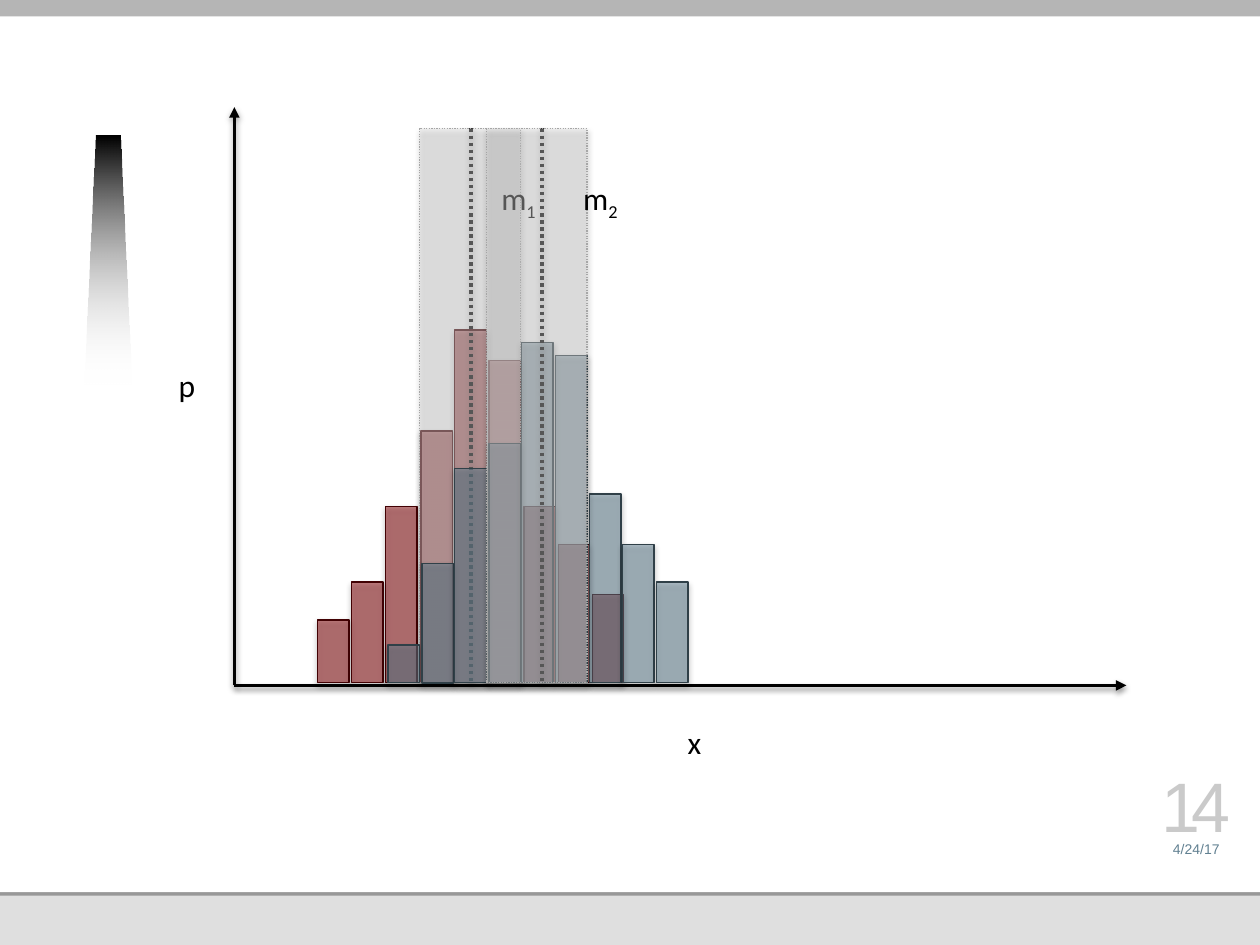
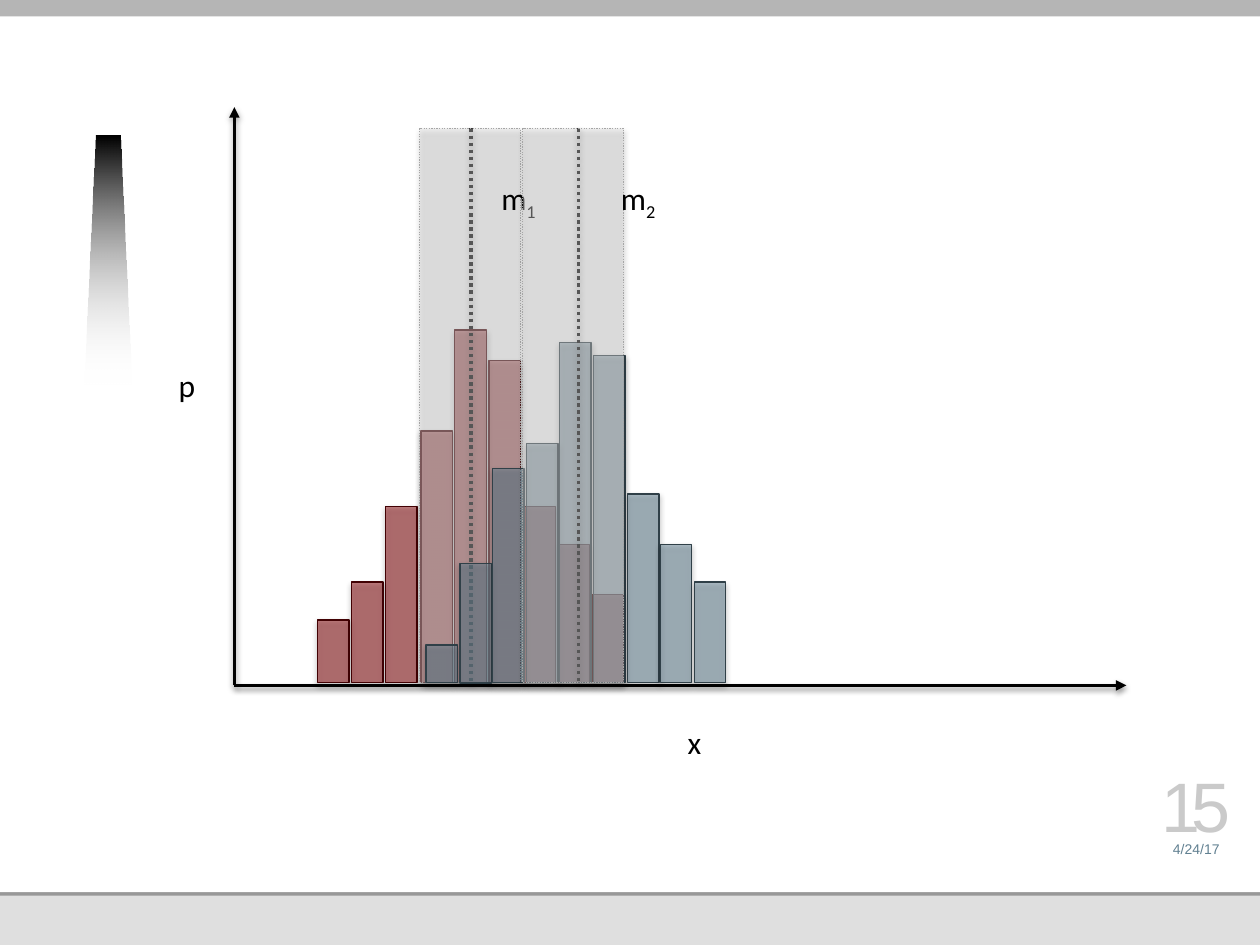
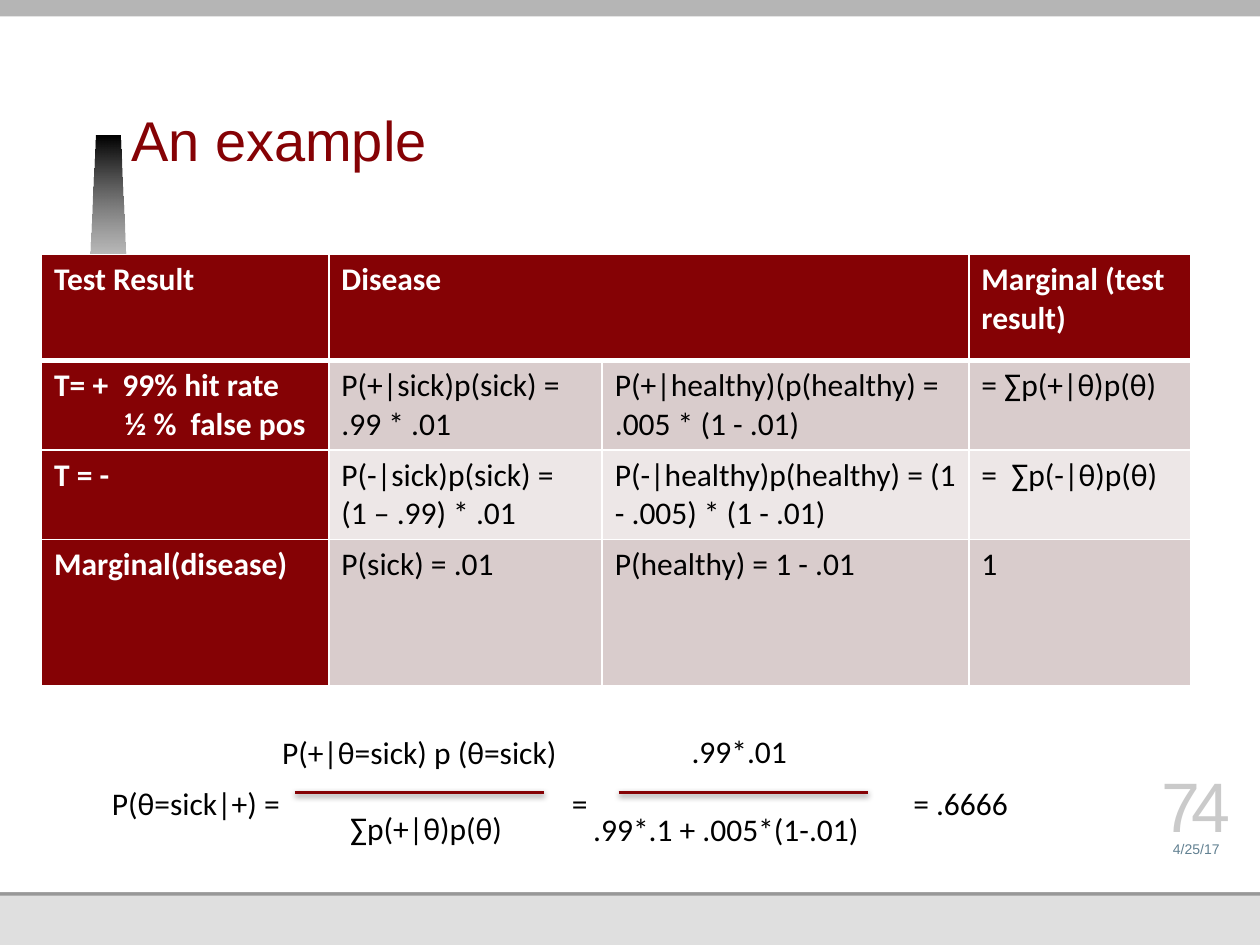
"""Build three statistics slides: two pairs of histograms and a worked probability example."""
import dataclasses
import typing

import lxml.etree
import pptx
import pptx.dml.color
import pptx.enum.dml
import pptx.enum.shapes
import pptx.enum.text
import pptx.oxml.ns
import pptx.presentation
import pptx.shapes.autoshape
import pptx.shapes.base
import pptx.slide
import pptx.util

RGBColor = pptx.dml.color.RGBColor
Pt = pptx.util.Pt
qn = pptx.oxml.ns.qn
Anchor = pptx.enum.text.MSO_ANCHOR
Align = pptx.enum.text.PP_ALIGN
AutoSize = pptx.enum.text.MSO_AUTO_SIZE
Dash = pptx.enum.dml.MSO_LINE

BLACK = RGBColor(0x00, 0x00, 0x00)
WHITE = RGBColor(0xFF, 0xFF, 0xFF)
FOOTER_GRAY = RGBColor(0xDF, 0xDF, 0xDF)
RULE_GRAY = RGBColor(0x98, 0x98, 0x98)
TOP_GRAY = RGBColor(0xB5, 0xB5, 0xB5)
NUMBER_GRAY = RGBColor(0xCA, 0xCA, 0xCA)
WINDOW_FILL = RGBColor(0xD9, 0xD9, 0xD9)
WINDOW_EDGE = RGBColor(0xA6, 0xA6, 0xA6)
RED = RGBColor(0x85, 0x02, 0x05)
DARK_RED = RGBColor(0x42, 0x01, 0x03)
BLUE = RGBColor(0x61, 0x80, 0x91)
DARK_BLUE = RGBColor(0x30, 0x40, 0x48)
ROW_DARK = RGBColor(0xD9, 0xCC, 0xCC)
ROW_LIGHT = RGBColor(0xED, 0xE7, 0xE7)

PX_PER_INCH = 100
BASELINE = 542
BAR_WIDTH = 25
WINDOW_TOP, WINDOW_WIDTH, WINDOW_HEIGHT = 102, 80, 440
LABEL_TOP, LABEL_HEIGHT = 137, 40
HANGING_INDENT = 56


def px(length: float) -> int:
    """Turn px into EMU."""
    return round(length * pptx.util.Inches(1) / PX_PER_INCH)


@dataclasses.dataclass(frozen=True)
class Place:
    """A box on the slide in px."""
    left: int
    top: int
    width: int
    height: int

    def emu(self) -> tuple[int, ...]:
        """Give the box in EMU."""
        return tuple(px(length) for length in dataclasses.astuple(self))


@dataclasses.dataclass(frozen=True)
class TextStyle:
    """Font, frame and paragraph formats of a text."""
    color: RGBColor
    font: dict[str, object]
    frame: dict[str, object]
    para: dict[str, object]


@dataclasses.dataclass(frozen=True)
class Paint:
    """Fill, opacity and outline of a box."""
    fill: RGBColor
    opacity: int = 100
    edge: RGBColor | None = None
    dash: Dash | None = None


@dataclasses.dataclass(frozen=True)
class Sample:
    """One histogram with its mean line, window and label."""
    start: int
    pitch: float
    heights: tuple[int, ...]
    paint: Paint
    mean_x: int
    window_left: int
    label_left: int
    index: str


NO_INSETS = {"margin_left": 0, "margin_top": 0, "margin_right": 0, "margin_bottom": 0}
CALIBRI = {"name": "Calibri", "size": Pt(18)}
BODY = TextStyle(BLACK, CALIBRI,
                 {"word_wrap": False, "auto_size": AutoSize.SHAPE_TO_FIT_TEXT}, {})
EQUATION = TextStyle(BLACK, CALIBRI, {"word_wrap": True}, {})
FOOTER_FRAME = NO_INSETS | {"word_wrap": True, "vertical_anchor": Anchor.BOTTOM}
DATE = TextStyle(BLUE, {"name": "Arial", "size": Pt(8)}, FOOTER_FRAME,
                 {"alignment": Align.CENTER})
NUMBER = TextStyle(NUMBER_GRAY, {"name": "Arial", "size": Pt(40)}, FOOTER_FRAME,
                   {"alignment": Align.CENTER})
TITLE = TextStyle(RED, {"name": "Arial", "size": Pt(32), "bold": False},
                  FOOTER_FRAME | {"margin_bottom": px(5), "auto_size": AutoSize.NONE},
                  {"alignment": Align.LEFT, "line_spacing": Pt(34)})
HEADING_CELL = TextStyle(WHITE, CALIBRI | {"bold": True}, {}, {})
VALUE_CELL = TextStyle(BLACK, CALIBRI | {"bold": False}, {}, {})

WINDOW_PAINT = Paint(WINDOW_FILL, 40, WINDOW_EDGE, Dash.ROUND_DOT)
RED_SAMPLE = Sample(252, 27.25, (50, 80, 140, 200, 280, 256, 140, 110, 70),
                    Paint(RED, 50, DARK_RED), 374, 333, 388, "1")
NEAR_SAMPLE = Sample(308, 26.6, (30, 95, 170, 190, 270, 260, 150, 110, 80),
                     Paint(BLUE, 50, DARK_BLUE), 430, 386, 453, "2")
FAR_SAMPLE = dataclasses.replace(NEAR_SAMPLE, start=338, mean_x=459,
                                 window_left=415, label_left=483)

TABLE_PLACE = Place(33, 202, 912, 334)
COLUMN_WIDTHS = (228, 217, 291, 176)
ROW_HEIGHTS = (84, 67, 67, 116)
ROW_FILLS = (RED, ROW_DARK, ROW_LIGHT, ROW_DARK)
TABLE_TEXT = (
    ("Test Result", "Disease", "", "Marginal (test result)"),
    ("T= +  99% hit rate\v½ %  false pos", "P(+|sick)p(sick) = .99 * .01",
     "P(+|healthy)(p(healthy) = .005 * (1 - .01)", "= ∑p(+|θ)p(θ)"),
    ("T = -", "P(-|sick)p(sick) =\v(1 – .99) * .01",
     "P(-|healthy)p(healthy) = (1 - .005) * (1 - .01)", "=  ∑p(-|θ)p(θ)"),
    ("Marginal(disease)", "P(sick) = .01", "P(healthy) = 1 - .01", "1"),
)
FRACTION_TEXTS = (
    (Place(214, 577, 240, 40), "P(+|θ=sick) p (θ=sick)"),
    (Place(268, 637, 142, 40), "∑p(+|θ)p(θ)"),
    (Place(539, 576, 97, 40), ".99*.01"),
    (Place(461, 638, 233, 40), ".99*.1 + .005*(1-.01)"),
)
FRACTION_BAR_LEFTS = (234, 491)
FRACTION_BAR_WIDTH = 198
EQUATION_TABS = (365, 636)


def apply_values(target: object, values: dict[str, object]) -> None:
    """Set attributes of an object from a dict."""
    for name, value in values.items():
        setattr(target, name, value)


def write_text(frame: typing.Any, texts: tuple[str, ...], style: TextStyle) -> None:
    """Write one paragraph of runs in a style."""
    apply_values(frame, style.frame)
    para = frame.paragraphs[0]
    para.text = texts[0]
    for text in texts[1:]:
        para.add_run().text = text
    apply_values(para, style.para)
    for span in para.runs:
        apply_values(span.font, style.font)
        span.font.color.rgb = style.color


def add_text(page: pptx.slide.Slide, place: Place, style: TextStyle,
             *texts: str) -> pptx.shapes.autoshape.Shape:
    """Add a text box."""
    box = page.shapes.add_textbox(*place.emu())
    write_text(box.text_frame, texts, style)
    return box


def set_last_run(box: pptx.shapes.autoshape.Shape, name: str, value: int) -> None:
    """Set a run property that has no public method."""
    list(box.element.iter(qn("a:rPr")))[-1].set(name, str(value))


def set_opacity(parent: typing.Any, percent: int) -> None:
    """Make the last colour under an element see-through."""
    color = list(parent.iter(qn("a:srgbClr")))[-1]
    lxml.etree.SubElement(color, qn("a:alpha"), val=str(percent * 1000))


def add_shadow(shape: pptx.shapes.base.BaseShape, distance: int, opacity: int) -> None:
    """Add a soft black shadow below a shape."""
    properties = shape.element.spPr
    effects = properties.find(qn("a:effectLst"))
    if effects is None:
        effects = lxml.etree.SubElement(properties, qn("a:effectLst"))
    shadow = lxml.etree.SubElement(effects, qn("a:outerShdw"), blurRad="40000",
                                   dist=str(distance), dir="5400000", rotWithShape="0")
    lxml.etree.SubElement(shadow, qn("a:srgbClr"), val=str(BLACK))
    set_opacity(shadow, opacity)


def add_box(page: pptx.slide.Slide, place: Place,
            paint: Paint) -> pptx.shapes.autoshape.Shape:
    """Add a rectangle, with a shadow when it has an outline."""
    box = page.shapes.add_shape(pptx.enum.shapes.MSO_SHAPE.RECTANGLE, *place.emu())
    box.shadow.inherit = False
    box.fill.solid()
    box.fill.fore_color.rgb = paint.fill
    if paint.opacity < 100:
        set_opacity(box.element.spPr, paint.opacity)
    if paint.edge is None:
        box.line.fill.background()
        return box
    box.line.color.rgb = paint.edge
    apply_values(box.line, {"width": Pt(0.75), "dash_style": paint.dash})
    add_shadow(box, 23000, 35)
    return box


def add_line(page: pptx.slide.Slide, start: tuple[int, int], end: tuple[int, int],
             color: RGBColor = BLACK, dash: Dash | None = None,
             arrow: bool = False) -> None:
    """Add a straight line with a shadow."""
    ends = (px(length) for length in start + end)
    connector = page.shapes.add_connector(pptx.enum.shapes.MSO_CONNECTOR.STRAIGHT, *ends)
    connector.line.color.rgb = color
    apply_values(connector.line, {"width": Pt(2), "dash_style": dash})
    if arrow:
        outline = connector.element.spPr.find(qn("a:ln"))
        lxml.etree.SubElement(outline, qn("a:tailEnd"), type="triangle")
    add_shadow(connector, 20000, 38)


def add_spike(page: pptx.slide.Slide) -> pptx.shapes.autoshape.Shape:
    """Add the fading spike beside the title."""
    builder = page.shapes.build_freeform(67, 305, scale=float(px(1)))
    builder.add_line_segments([(76, 108), (95, 108), (104, 305)], close=True)
    spike = builder.convert_to_shape()
    spike.shadow.inherit = False
    spike.line.fill.background()
    spike.fill.gradient()
    spike.fill.gradient_angle = 270
    for stop, color, position in zip(spike.fill.gradient_stops, (BLACK, WHITE), (0, 1)):
        stop.color.rgb = color
        stop.position = position
    set_opacity(spike.element.spPr.find(qn("a:gradFill")), 0)
    return spike


def decorate_master(deck: pptx.presentation.Presentation, page: pptx.slide.Slide) -> None:
    """Draw the shared bands and spike and move them to the master."""
    parts = [
        add_box(page, Place(0, 0, 1000, 750), Paint(FOOTER_GRAY)),
        add_box(page, Place(0, 178, 1000, 533), Paint(RULE_GRAY)),
        add_box(page, Place(0, 0, 1000, 708), Paint(WHITE)),
        add_spike(page),
        add_box(page, Place(0, -4, 1017, 17), Paint(TOP_GRAY)),
    ]
    for index, part in enumerate(parts, start=2):
        deck.slide_master.shapes.element.insert(index, part.element)


def add_footer(page: pptx.slide.Slide, date: str, number: str) -> None:
    """Add the date and the slide number."""
    add_text(page, Place(913, 658, 73, 22), DATE, date)
    set_last_run(add_text(page, Place(913, 616, 73, 56), NUMBER, number), "spc", -500)


def draw_sample(page: pptx.slide.Slide, sample: Sample) -> None:
    """Draw a histogram with its mean, window and label."""
    for index, height in enumerate(sample.heights):
        left = round(sample.start + index * sample.pitch)
        add_box(page, Place(left, BASELINE - height, BAR_WIDTH, height), sample.paint)
    add_line(page, (sample.mean_x, WINDOW_TOP), (sample.mean_x, BASELINE),
             dash=Dash.ROUND_DOT)
    add_box(page, Place(sample.window_left, WINDOW_TOP, WINDOW_WIDTH, WINDOW_HEIGHT),
            WINDOW_PAINT)
    label = add_text(page, Place(sample.label_left, LABEL_TOP, 49, LABEL_HEIGHT),
                     BODY, "m", sample.index)
    set_last_run(label, "baseline", -25000)


def draw_histograms(page: pptx.slide.Slide, samples: tuple[Sample, ...]) -> None:
    """Draw the axes and the samples on them."""
    for tip in ((894, 544), (186, 85)):
        add_line(page, (186, 544), tip, arrow=True)
    add_text(page, Place(536, 569, 31, 40), BODY, "x")
    add_text(page, Place(132, 286, 34, 40), BODY, "p")
    for sample in samples:
        draw_sample(page, sample)


def draw_borders(frame: typing.Any) -> None:
    """Give all cells white borders, thick below the heading row."""
    for row_index, row in enumerate(frame.element.iter(qn("a:tr"))):
        thick_side = {0: "B", 1: "T"}.get(row_index)
        for properties in row.iter(qn("a:tcPr")):
            for index, side in enumerate("LRTB"):
                width = Pt(3 if side == thick_side else 1)
                border = lxml.etree.Element(qn(f"a:ln{side}"), w=str(width))
                fill = lxml.etree.SubElement(border, qn("a:solidFill"))
                lxml.etree.SubElement(fill, qn("a:srgbClr"), val=str(WHITE))
                properties.insert(index, border)


def draw_table(page: pptx.slide.Slide) -> None:
    """Draw the table of joint and marginal probabilities."""
    frame = page.shapes.add_table(len(ROW_HEIGHTS), len(COLUMN_WIDTHS), *TABLE_PLACE.emu())
    table = frame.table
    for column, width in zip(table.columns, COLUMN_WIDTHS):
        column.width = px(width)
    for row_index, texts in enumerate(TABLE_TEXT):
        table.rows[row_index].height = px(ROW_HEIGHTS[row_index])
        for column_index, text in enumerate(texts):
            cell = table.cell(row_index, column_index)
            heading = row_index == 0 or column_index == 0
            cell.fill.solid()
            cell.fill.fore_color.rgb = RED if heading else ROW_FILLS[row_index]
            if text:
                write_text(cell.text_frame, (text,), HEADING_CELL if heading else VALUE_CELL)
    table.cell(0, 1).merge(table.cell(0, 2))
    hit_rate = next(table.cell(1, 0).text_frame.paragraphs[0].runs[0].font
                    for _ in range(1))
    hit_rate.bold = True
    hanging = list(frame.element.iter(qn("a:p")))[len(COLUMN_WIDTHS)].get_or_add_pPr()
    hanging.set("marL", str(px(HANGING_INDENT)))
    hanging.set("indent", str(-px(HANGING_INDENT)))
    draw_borders(frame)


def draw_equation(page: pptx.slide.Slide) -> None:
    """Draw the posterior as two fractions and a result."""
    box = add_text(page, Place(79, 617, 747, 40), EQUATION,
                   "P(θ=sick|+) =\t=\t= .6666")
    properties = next(box.element.iter(qn("a:p"))).get_or_add_pPr()
    tabs = lxml.etree.SubElement(properties, qn("a:tabLst"))
    for position in EQUATION_TABS:
        lxml.etree.SubElement(tabs, qn("a:tab"), pos=str(px(position)), algn="l")
    for place, text in FRACTION_TEXTS:
        add_text(page, place, BODY, text)
    for left in FRACTION_BAR_LEFTS:
        add_line(page, (left, 629), (left + FRACTION_BAR_WIDTH, 629), RED)


def draw_example(page: pptx.slide.Slide) -> None:
    """Draw the title, table and equation of the example."""
    title = page.shapes.title
    names = ("left", "top", "width", "height")
    apply_values(title, dict(zip(names, Place(104, 34, 687, 108).emu())))
    write_text(title.text_frame, ("An example",), TITLE)
    draw_table(page)
    draw_equation(page)


def main() -> None:
    """Build and save the deck."""
    deck = pptx.Presentation()
    apply_values(deck, {"slide_width": px(1000), "slide_height": px(750)})
    title_only, blank = deck.slide_layouts[5], deck.slide_layouts[6]
    near, far = (deck.slides.add_slide(blank) for _ in range(2))
    example = deck.slides.add_slide(title_only)
    decorate_master(deck, near)
    draw_histograms(near, (RED_SAMPLE, NEAR_SAMPLE))
    draw_histograms(far, (RED_SAMPLE, FAR_SAMPLE))
    draw_example(example)
    add_footer(near, "4/24/17", "14")
    add_footer(far, "4/24/17", "15")
    add_footer(example, "4/25/17", "74")
    deck.save("out.pptx")


if __name__ == "__main__":
    main()
